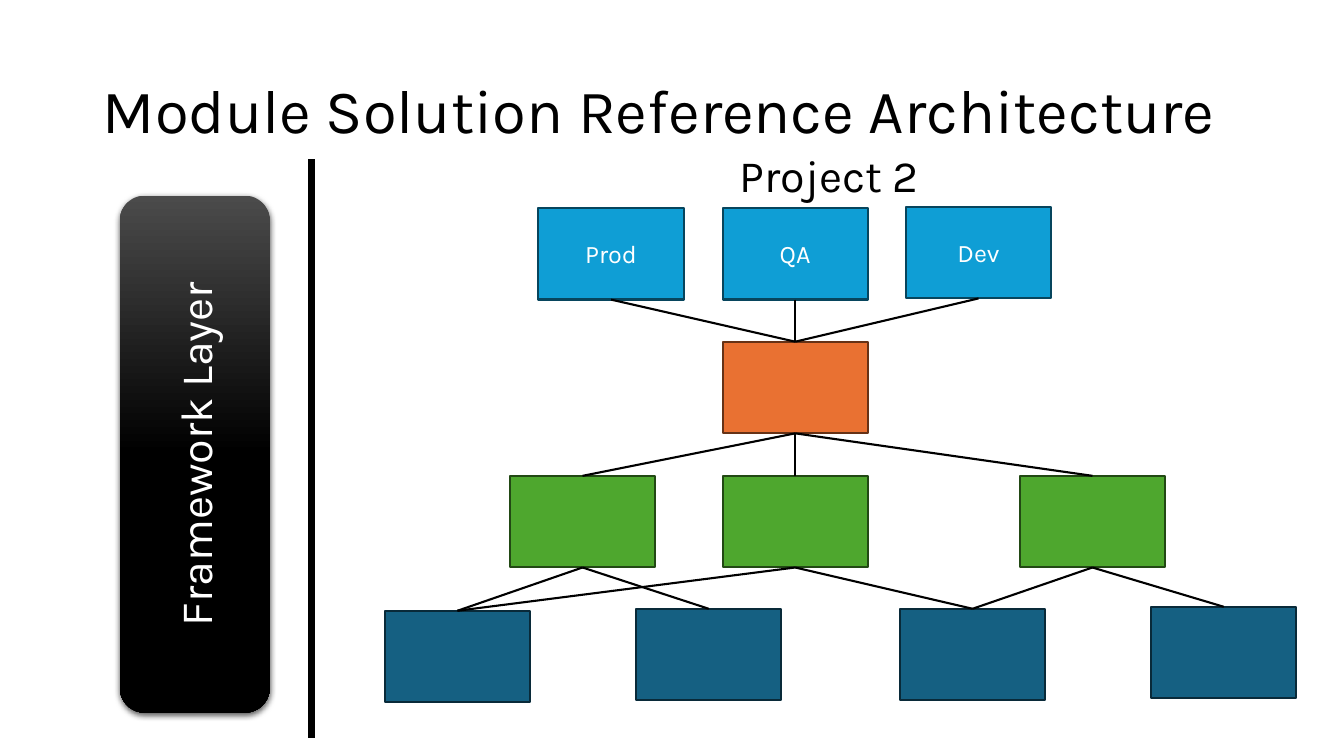
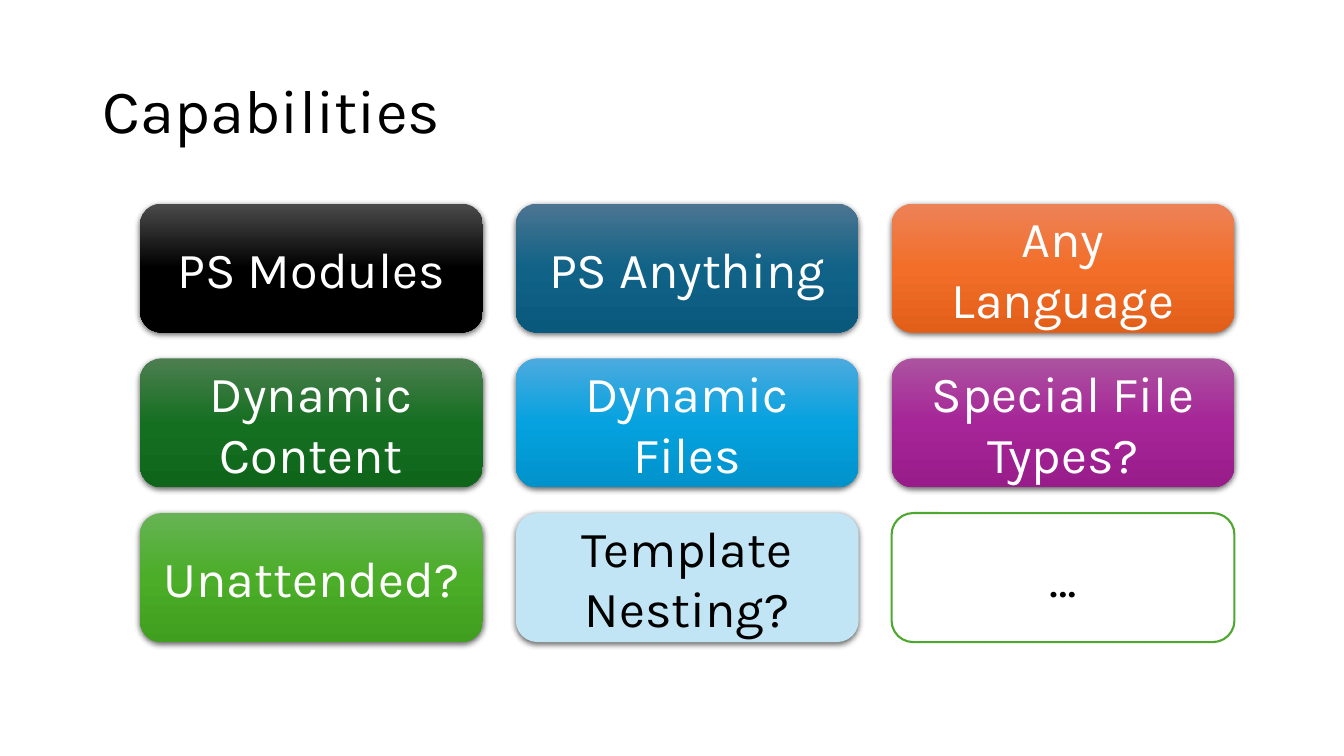
import copy

import lxml.etree
import pptx
import pptx.dml.color
import pptx.enum.shapes
import pptx.enum.text
import pptx.oxml.ns
import pptx.util

Cm = pptx.util.Cm
Pt = pptx.util.Pt
rgb = pptx.dml.color.RGBColor.from_string
qn = pptx.oxml.ns.qn
SHAPE = pptx.enum.shapes.MSO_SHAPE
STRAIGHT = pptx.enum.shapes.MSO_CONNECTOR.STRAIGHT
ALIGN = pptx.enum.text.PP_ALIGN
MIDDLE = pptx.enum.text.MSO_ANCHOR.MIDDLE
NO_FIT = pptx.enum.text.MSO_AUTO_SIZE.NONE

COLORS = {
    "black": "000000",
    "white": "FFFFFF",
    "sky": "0F9ED5",
    "sky_edge": "07455D",
    "orange": "E97132",
    "orange_edge": "663216",
    "green": "4EA72E",
    "green_edge": "224914",
    "teal": "156082",
    "teal_edge": "092A39",
    "ice": "C1E5F5",
}
GRADIENTS = {
    "black": ["4B4B4B", "000000", "000000"],
    "teal": ["4C7591", "106287", "09597D"],
    "orange": ["ED8257", "F26E29", "E25F1A"],
    "forest": ["4D7E50", "156F21", "0F661B"],
    "sky": ["4CAADF", "05A2DF", "0092CB"],
    "purple": ["AC53A0", "A62598", "991C8B"],
    "green": ["66B354", "4BAD28", "409F1E"],
}
TITLE_BOX = {"left": Cm(2.34), "top": Cm(1.02), "width": Cm(29.21), "height": Cm(3.68)}
TITLE_FRAME = {"vertical_anchor": MIDDLE, "word_wrap": True, "auto_size": NO_FIT}
TITLE_PARAGRAPH = {"alignment": ALIGN.LEFT, "line_spacing": 0.9}


def write(frame, text, size, color, paragraph_format):
    frame.text = text
    paragraph = frame.paragraphs[0]
    for name, value in paragraph_format.items():
        setattr(paragraph, name, value)
    font = paragraph.runs[0].font
    for name, value in {"name": "Karla", "size": Pt(size)}.items():
        setattr(font, name, value)
    font.color.rgb = rgb(COLORS[color])


def add_block(slide, kind, box, fill, edge=None, glow=False):
    block = slide.shapes.add_shape(kind, *[Cm(length) for length in box])
    block.shadow.inherit = False
    if fill in GRADIENTS and glow:
        block.fill.gradient()
        block.fill.gradient_angle = 270
        stop_list = block.element.spPr.find(".//" + qn("a:gsLst"))
        stop_list.insert(1, copy.deepcopy(stop_list[0]))
        for stop, position, color in zip(block.fill.gradient_stops, [0, 0.5, 1], GRADIENTS[fill]):
            stop.position = position
            stop.color.rgb = rgb(color)
    else:
        block.fill.solid()
        block.fill.fore_color.rgb = rgb(COLORS[fill])
    if edge:
        block.line.color.rgb = rgb(COLORS[edge])
        block.line.width = Pt(1.5)
    else:
        block.line.fill.background()
    if glow:
        effects = block.element.spPr.find(qn("a:effectLst"))
        shadow = lxml.etree.SubElement(
            effects, qn("a:outerShdw"), blurRad=str(Pt(4.5)), dist=str(Pt(1.5)),
            dir="5400000", algn="ctr", rotWithShape="0")
        tint = lxml.etree.SubElement(shadow, qn("a:srgbClr"), val=COLORS["black"])
        lxml.etree.SubElement(tint, qn("a:alpha"), val="63000")
    return block


deck = pptx.Presentation()
deck.slide_width = Cm(33.87)
deck.slide_height = Cm(19.05)

slides = []
for heading in ["Module Solution Reference Architecture", "Capabilities"]:
    slide = deck.slides.add_slide(deck.slide_layouts[5])
    title = slide.shapes.title
    for target, values in [(title, TITLE_BOX), (title.text_frame, TITLE_FRAME)]:
        for name, value in values.items():
            setattr(target, name, value)
    write(title.text_frame, heading, 44, "black", TITLE_PARAGRAPH)
    slides.append(slide)
architecture, capabilities = slides

centered = {"alignment": ALIGN.CENTER}

framework = add_block(architecture, SHAPE.ROUNDED_RECTANGLE, (3.02, 4.93, 3.78, 13.03), "black", glow=True)
framework.element.txBody.bodyPr.set("vert", "vert270")
write(framework.text_frame, "Framework Layer", 32, "white", centered)

project = architecture.shapes.add_textbox(Cm(8.74), Cm(3.61), Cm(24.33), Cm(1.63))
project.text_frame.word_wrap = True
write(project.text_frame, "Project 2", 32, "black", centered)

tiers = {
    "resource": ("teal", [(9.7, 15.39, ""), (16.03, 15.34, ""), (22.68, 15.34, ""), (29.01, 15.29, "")]),
    "module": ("green", [(12.85, 11.99, ""), (18.21, 11.99, ""), (25.7, 11.99, "")]),
    "hub": ("orange", [(18.21, 8.61, "")]),
    "environment": ("sky", [(13.57, 5.24, "Prod"), (18.21, 5.24, "QA"), (22.83, 5.21, "Dev")]),
}
nodes = {}
for tier, (color, places) in tiers.items():
    for index, (left, top, label) in enumerate(places):
        node = add_block(architecture, SHAPE.RECTANGLE, (left, top, 3.66, 2.31), color, color + "_edge")
        if label:
            write(node.text_frame, label, 18, "white", centered)
        nodes[tier, index] = node

links = [(("environment", index), ("hub", 0)) for index in range(3)]
links += [(("hub", 0), ("module", index)) for index in range(3)]
links += [(("module", upper), ("resource", lower))
          for upper, lower in [(0, 0), (0, 1), (1, 0), (1, 2), (2, 2), (2, 3)]]

divider = architecture.shapes.add_connector(STRAIGHT, Cm(7.85), Cm(18.59), Cm(7.85), Cm(4.01))
rules = [(divider, 4.5)]
for upper, lower in links:
    link = architecture.shapes.add_connector(STRAIGHT, 0, 0, 0, 0)
    link.begin_connect(nodes[upper], 2)
    link.end_connect(nodes[lower], 0)
    rules.append((link, 1.5))
for rule, width in rules:
    rule.line.color.rgb = rgb(COLORS["black"])
    rule.line.width = Pt(width)
    lxml.etree.SubElement(rule.element.spPr, qn("a:effectLst"))

features = [
    ("PS Modules", "black", "white"),
    ("PS Anything", "teal", "white"),
    ("Any Language", "orange", "white"),
    ("Dynamic Content", "forest", "white"),
    ("Dynamic Files", "sky", "white"),
    ("Special File Types?", "purple", "white"),
    ("Unattended?", "green", "white"),
    ("Template Nesting?", "ice", "black"),
    ("…", "white", "black"),
]
for index, (label, fill, ink) in enumerate(features):
    row, column = divmod(index, 3)
    is_open = fill == "white"
    feature = add_block(
        capabilities, SHAPE.ROUNDED_RECTANGLE,
        (3.53 + 9.47 * column, 5.13 + 3.9 * row, 8.64, 3.25),
        fill, "green" if is_open else None, glow=not is_open)
    write(feature.text_frame, label, 36, ink, centered)

deck.save("out.pptx")
